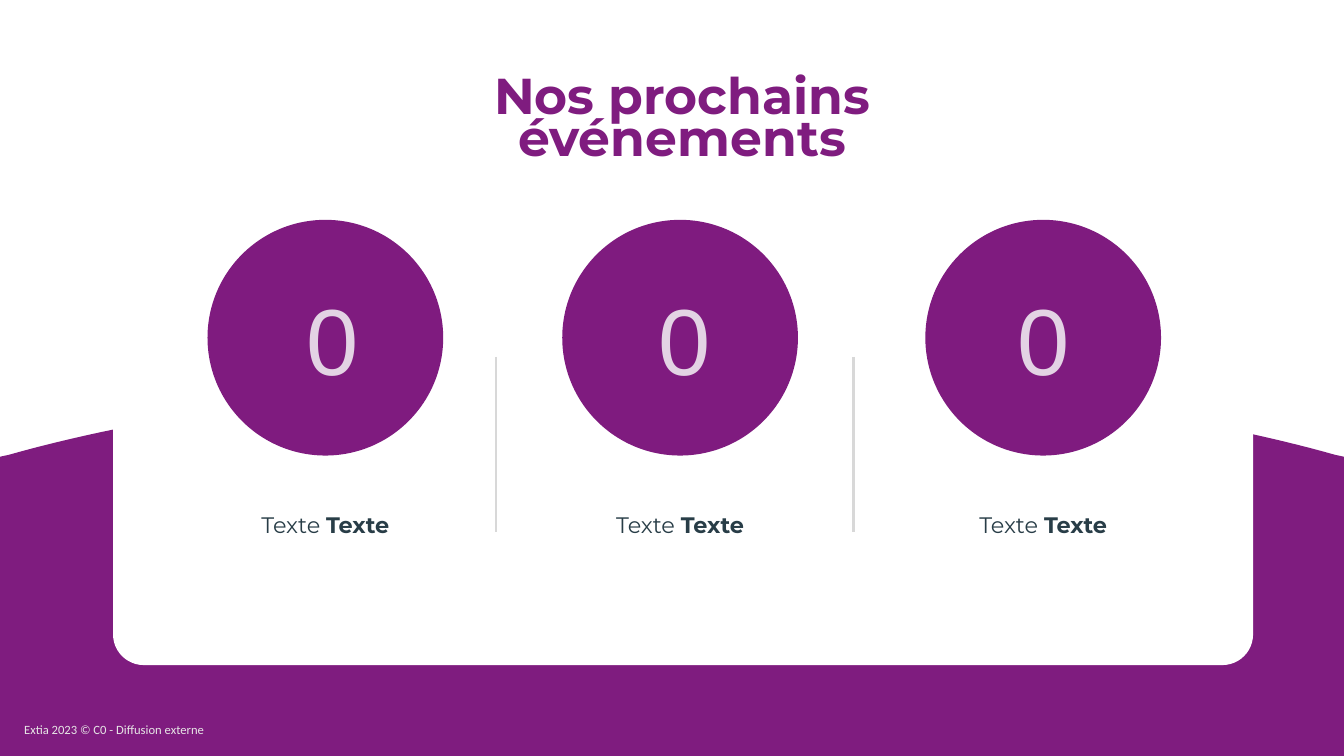
import pptx
import pptx.util
import pptx.dml.color
import pptx.enum.shapes
import pptx.enum.text
import lxml.etree

Cm, Pt = pptx.util.Cm, pptx.util.Pt
Kind = pptx.enum.shapes.MSO_SHAPE
Fit = pptx.enum.text.MSO_AUTO_SIZE
Anchor = pptx.enum.text.MSO_ANCHOR
Align = pptx.enum.text.PP_ALIGN

WIDE, HIGH = 33.87, 19.05
PURPLE, DISC = "7F1C7F", "7F1B7F"
HEAD = {"name": "Montserrat", "size": Pt(36), "bold": True}
LABEL = {"name": "Montserrat", "size": Pt(16), "bold": False}
STRONG = {**LABEL, "bold": True}
DIGIT = {"name": "Arial", "size": Pt(67)}
NOTE = {"name": "Calibri", "size": Pt(9)}


def tint(color, code):
    color.rgb = pptx.dml.color.RGBColor.from_string(code)


def style(item, values):
    for key, value in values.items():
        setattr(item, key, value)


def paint(shape, code):
    shape.shadow.inherit = False
    shape.fill.solid()
    tint(shape.fill.fore_color, code)
    shape.line.fill.background()


def write(shape, runs, code, side, top, **para):
    frame = shape.text_frame
    style(frame, {
        "word_wrap": True, "auto_size": Fit.SHAPE_TO_FIT_TEXT,
        "vertical_anchor": Anchor.TOP,
        "margin_left": Cm(side), "margin_right": Cm(side),
        "margin_top": Cm(top), "margin_bottom": Cm(top)})
    line = frame.paragraphs[0]
    style(line, {"alignment": Align.CENTER, **para})
    for text, values in runs:
        run = line.add_run()
        run.text = text
        style(run.font, values)
        tint(run.font.color, code)
    return frame


def add_text(slide, box, *args, **para):
    shape = slide.shapes.add_textbox(*map(Cm, box))
    return write(shape, *args, **para)


def add_wave(slide, box):
    x, y, wide, high = box
    knots = [(0.23, 1.91), (4.37, 0.74), (10.31, 0), (wide / 2, 0)]
    arc = []
    for step in range(41):
        t = step / 40
        parts = ((1 - t) ** 3, 3 * t * (1 - t) ** 2, 3 * t * t * (1 - t), t ** 3)
        arc.append(tuple(sum(p * k[i] for p, k in zip(parts, knots))
                         for i in (0, 1)))
    left = [(0, high), (0, 1.96)] + arc
    right = [(wide - px, py) for px, py in reversed(left[:-1])]
    points = [(Cm(x + px), Cm(y + py)) for px, py in left + right]
    form = slide.shapes.build_freeform(*points[0], scale=1.0)
    form.add_line_segments(points[1:], close=True)
    paint(form.convert_to_shape(), PURPLE)


def add_panel(slide, box):
    x, y, wide, high = box
    panel = slide.shapes.add_shape(Kind.ROUNDED_RECTANGLE, *map(Cm, box))
    panel.adjustments[0] = 0.078
    paint(panel, "FFFFFF")
    for gap in (9.65, 18.66):
        rule = slide.shapes.add_connector(
            pptx.enum.shapes.MSO_CONNECTOR.STRAIGHT,
            Cm(x + gap), Cm(y + 2.16), Cm(x + gap), Cm(y + 6.58))
        tint(rule.line.color, "D8D8D8")
        rule.line.width = Pt(1.5)
        lxml.etree.SubElement(rule.element.spPr,
                              pptx.oxml.ns.qn("a:effectLst"))


def add_title(slide, box):
    title = slide.shapes.title
    style(title, dict(zip(("left", "top", "width", "height"), map(Cm, box))))
    write(title, [("Nos prochains événements", HEAD)], PURPLE, 0.13, 0.13,
          line_spacing=0.7)


def add_event(slide, box, shift, span, room):
    x, y, wide, high = box
    mid = x + wide / 2
    disc = slide.shapes.add_shape(Kind.OVAL, *map(Cm, (x, y, wide, wide)))
    paint(disc, DISC)
    add_text(slide, (mid + shift - span / 2, y + 1.22, span, 3.56),
             [("0", DIGIT)], "E3D3E4", 0.33, 0.33)
    add_text(slide, (mid - room / 2, y + 6.91, room, high - 6.91),
             [("Texte ", LABEL), ("Texte", STRONG)], "283D47", 0.08, 0.08,
             line_spacing=1.5)


def add_footer(slide, box):
    frame = add_text(slide, box, [("Extia 2023 © C0 - Diffusion externe", NOTE)],
                     "E7E6E6", 0.25, 0.13, alignment=Align.LEFT)
    style(frame, {"auto_size": Fit.NONE, "vertical_anchor": Anchor.MIDDLE})


def main():
    deck = pptx.Presentation()
    style(deck, {"slide_width": Cm(WIDE), "slide_height": Cm(HIGH)})
    slide = deck.slides.add_slide(deck.slide_layouts[5])
    add_wave(slide, (0, 9.55, WIDE, HIGH - 9.55))
    add_panel(slide, (2.85, 6.83, 28.73, 9.93))
    add_title(slide, (9.14, 1.9, 16.1, 2.41))
    events = [(5.23, 8.74, 0.19, 5.61, 7.62),
              (14.17, 8.74, 0.11, 3.71, 6.86),
              (23.32, 8.74, 0, 3.71, 7.09)]
    for x, high, shift, span, room in events:
        add_event(slide, (x, 5.54, 5.94, high), shift, span, room)
    add_footer(slide, (0.36, 18.06, 5.56, 0.64))
    deck.save("out.pptx")


if __name__ == "__main__":
    main()
